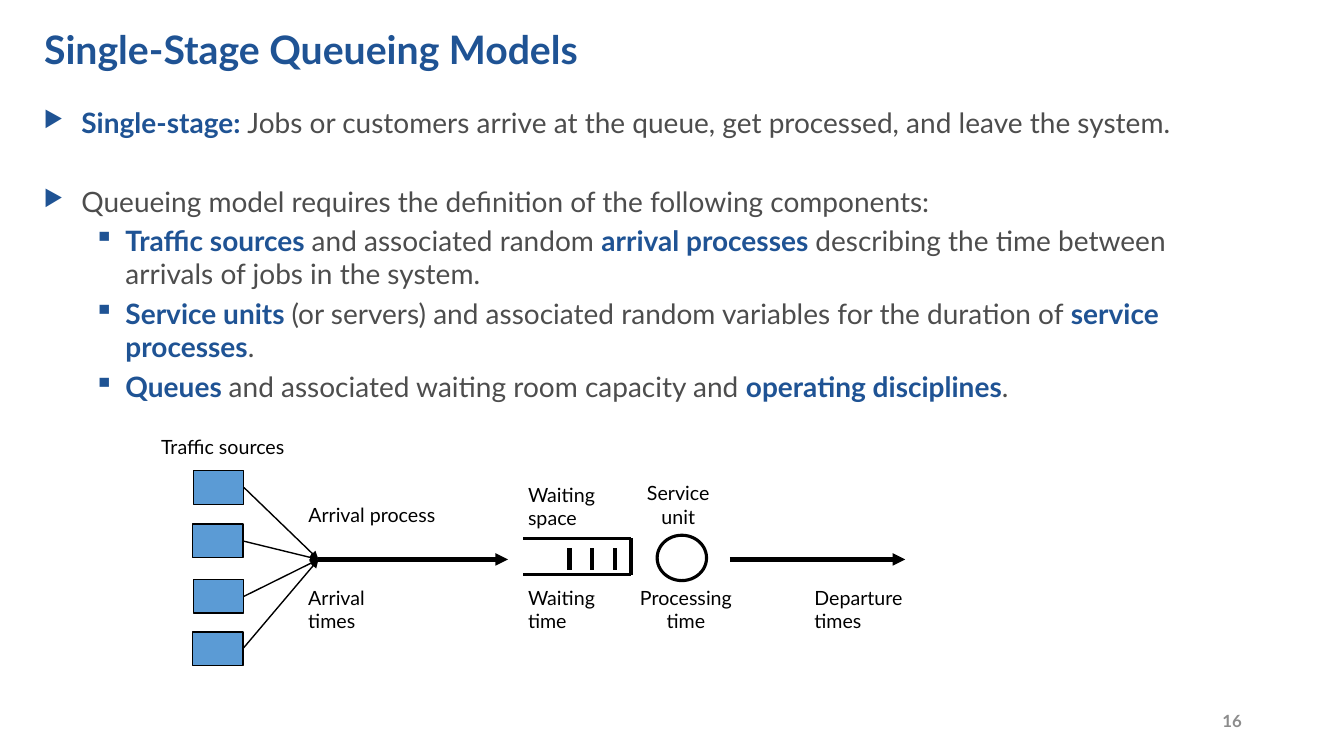
import dataclasses

import lxml.etree
import pptx
import pptx.dml.color
import pptx.enum.shapes
import pptx.enum.text
import pptx.oxml.ns
import pptx.util

Pt = pptx.util.Pt
qn = pptx.oxml.ns.qn
Align = pptx.enum.text.PP_ALIGN
Anchor = pptx.enum.text.MSO_ANCHOR
Shape = pptx.enum.shapes.MSO_SHAPE


@dataclasses.dataclass(frozen=True)
class Theme:
    font: str = "Lato"
    blue: str = "1F5394"
    body: str = "4D4D4D"
    gray: str = "8C8C8C"
    black: str = "000000"
    source: str = "5B9BD5"
    title_size: int = 28
    body_size: int = 20
    label_size: int = 14
    page_size: int = 12
    thin: float = 1
    mid: float = 2.25
    thick: float = 3


THEME = Theme()

# Each item: level, space before, (text, is key term) pairs
ITEMS = [
    (0, 0, [("Single-stage: ", True),
            ("Jobs or customers arrive at the queue, get processed, and leave the system.", False)]),
    (0, 32, [("Queueing model requires the definition of the following components:", False)]),
    (1, 4, [("Traffic sources ", True), ("and associated random ", False),
            ("arrival processes ", True),
            ("describing the time between arrivals of jobs in the system.", False)]),
    (1, 4, [("Service units ", True),
            ("(or servers) and associated random variables for the duration of ", False),
            ("service processes", True), (".", False)]),
    (1, 4, [("Queues ", True), ("and associated waiting room capacity and ", False),
            ("operating disciplines", True), (".", False)]),
]

# Each level: left margin, hanging indent, bullet, bullet size in percent
LEVELS = [(27, 27, "▶", 80), (58.5, 22.5, "▪", 100)]

# Each label: text, left, top, width, alignment
LABELS = [
    ("Traffic sources", 108, 307.4, 103, Align.LEFT),
    ("Arrival process", 213.1, 355.7, 106, Align.LEFT),
    ("Arrival\ntimes", 213.1, 414.7, 55, Align.LEFT),
    ("Waiting\nspace", 370.1, 341.3, 62.6, Align.LEFT),
    ("Waiting\ntime", 370.1, 414.7, 62.6, Align.LEFT),
    ("Service\nunit", 455, 340, 59, Align.CENTER),
    ("Processing\ntime", 449.3, 414.7, 81.4, Align.CENTER),
    ("Departure\ntimes", 574.6, 414.7, 77.8, Align.LEFT),
]

FLOW = 399.6    # height of the main flow line
MERGE = 227.5   # where the sources meet


def paint(run, size, color, bold=False):
    run.font.name = THEME.font
    run.font.size = Pt(size)
    run.font.bold = bold
    run.font.color.rgb = pptx.dml.color.RGBColor.from_string(color)


def add_box(slide, left, top, width, height, anchor=Anchor.TOP, wrap=True):
    frame = slide.shapes.add_textbox(Pt(left), Pt(top), Pt(width), Pt(height)).text_frame
    frame.word_wrap = wrap
    frame.vertical_anchor = anchor
    return frame


def add_text(frame, text, size, color, bold=False, align=Align.LEFT):
    frame.text = text
    for para in frame.paragraphs:
        para.alignment = align
        for run in para.runs:
            paint(run, size, color, bold)


def add_mark(para, level):
    left, hang, char, scale = LEVELS[level]
    props = para._p.get_or_add_pPr()
    props.set("marL", str(Pt(left)))
    props.set("indent", str(-Pt(hang)))
    color = lxml.etree.SubElement(props, qn("a:buClr"))
    lxml.etree.SubElement(color, qn("a:srgbClr"), val=THEME.blue)
    lxml.etree.SubElement(props, qn("a:buSzPct"), val=str(scale * 1000))
    lxml.etree.SubElement(props, qn("a:buChar"), char=char)


def add_list(frame, items):
    for index, (level, gap, parts) in enumerate(items):
        para = frame.add_paragraph() if index else frame.paragraphs[0]
        para.level = level
        if gap:
            para.space_before = Pt(gap)
        add_mark(para, level)
        for text, key in parts:
            run = para.add_run()
            run.text = text
            paint(run, THEME.body_size, THEME.blue if key else THEME.body, key)


def add_shape(slide, kind, left, top, width, height, weight, fill=None):
    shape = slide.shapes.add_shape(kind, Pt(left), Pt(top), Pt(width), Pt(height))
    shape.shadow.inherit = False
    if fill:
        shape.fill.solid()
        shape.fill.fore_color.rgb = pptx.dml.color.RGBColor.from_string(fill)
    else:
        shape.fill.background()
    shape.line.color.rgb = pptx.dml.color.RGBColor.from_string(THEME.black)
    shape.line.width = Pt(weight)
    return shape


def add_line(slide, start, end, weight, arrow=False):
    line = slide.shapes.add_connector(
        pptx.enum.shapes.MSO_CONNECTOR.STRAIGHT, *(Pt(n) for n in start + end))
    line.line.color.rgb = pptx.dml.color.RGBColor.from_string(THEME.black)
    line.line.width = Pt(weight)
    if arrow:
        lxml.etree.SubElement(line.line._get_or_add_ln(), qn("a:tailEnd"), type="triangle")
    lxml.etree.SubElement(line._element.spPr, qn("a:effectLst"))
    return line


def add_queue(slide):
    left, right, top, base = 373.7, 450.7, 384.5, 410.4
    add_line(slide, (left, top), (right, top), THEME.mid)
    add_line(slide, (right, top), (right, base), THEME.mid)
    add_line(slide, (left, base), (right, base), THEME.mid)
    for job in range(3):
        x = 406.8 + 16.2 * job
        add_line(slide, (x, 391.7), (x, 406.8), THEME.thick)


def add_source(slide, left, top):
    width, height = 36, 24
    box = add_shape(slide, Shape.RECTANGLE, left, top, width, height, THEME.thin, THEME.source)
    line = add_line(slide, (left + width, top + height / 2), (MERGE, FLOW), THEME.thin, True)
    line.begin_connect(box, 3)


def main():
    deck = pptx.Presentation()
    deck.slide_width, deck.slide_height = Pt(960), Pt(540)
    slide = deck.slides.add_slide(deck.slide_layouts[6])

    # Title, bullets and page number
    add_text(add_box(slide, 24.5, 9.4, 839.5, 51, Anchor.MIDDLE),
             "Single-Stage Queueing Models", THEME.title_size, THEME.blue, True)
    add_list(add_box(slide, 24, 72, 840, 230), ITEMS)
    add_text(add_box(slide, 678.2, 500.4, 216, 28.8, Anchor.MIDDLE),
             "16", THEME.page_size, THEME.gray, True, Align.RIGHT)

    # Queue, server and main flow
    add_queue(slide)
    add_shape(slide, Shape.OVAL, 469.4, 382.3, 35.3, 32.4, THEME.mid)
    for start, end in ((MERGE, 362.9), (521.3, 646.6)):
        add_line(slide, (start, FLOW), (end, FLOW), THEME.thick, True)

    # Traffic sources
    for left, top in ((138.2, 336.2), (137.5, 374.4), (138.2, 414), (137.5, 451.4)):
        add_source(slide, left, top)

    # Labels
    for text, left, top, width, align in LABELS:
        height = 24.5 if "\n" not in text else 41
        add_text(add_box(slide, left, top, width, height, wrap=False),
                 text, THEME.label_size, THEME.black, align=align)

    deck.save("out.pptx")


if __name__ == "__main__":
    main()
